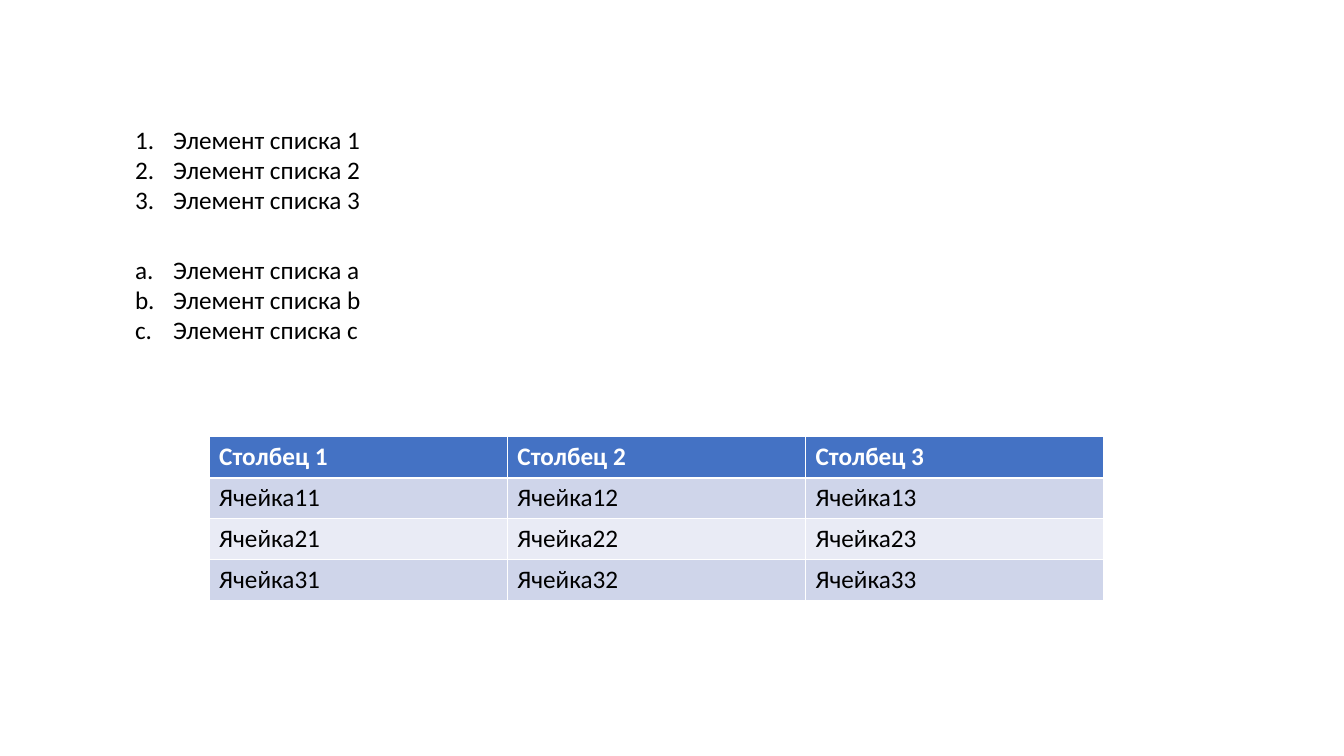
import pptx
import pptx.dml.color
import pptx.enum.text
import pptx.oxml
import pptx.oxml.ns
import pptx.util
from lxml import etree

PX = 914400 / 100.7
BLACK = pptx.dml.color.RGBColor(0x00, 0x00, 0x00)
WHITE = pptx.dml.color.RGBColor(0xFF, 0xFF, 0xFF)
HEADER_BLUE = pptx.dml.color.RGBColor(0x44, 0x72, 0xC4)
BAND_DARK = pptx.dml.color.RGBColor(0xCF, 0xD5, 0xEA)
BAND_LIGHT = pptx.dml.color.RGBColor(0xE9, 0xEB, 0xF5)


def px(length):
    return pptx.util.Emu(round(length * PX))


def add_text(paragraph, text, color, bold=False):
    run = paragraph.add_run()
    run.text = text
    run.font.name = "Calibri"
    run.font.size = pptx.util.Pt(18)
    run.font.bold = bold
    run.font.color.rgb = color


presentation = pptx.Presentation()
presentation.slide_width = px(1343)
presentation.slide_height = px(755)
slide = presentation.slides.add_slide(presentation.slide_layouts[6])

for top, numbering, labels in ((119, "arabicPeriod", "123"), (249, "alphaLcPeriod", "abc")):
    text_box = slide.shapes.add_textbox(px(125), px(top), px(1063), px(101))
    text_frame = text_box.text_frame
    text_frame.word_wrap = True
    text_frame.auto_size = pptx.enum.text.MSO_AUTO_SIZE.SHAPE_TO_FIT_TEXT
    for index, label in enumerate(labels):
        paragraph = text_frame.paragraphs[0] if index == 0 else text_frame.add_paragraph()
        add_text(paragraph, f"Элемент списка {label}", BLACK)
        properties = paragraph._p.get_or_add_pPr()
        properties.set("marL", str(px(38)))
        properties.set("indent", str(-px(38)))
        bullet = etree.SubElement(properties, pptx.oxml.ns.qn("a:buAutoNum"))
        bullet.set("type", numbering)

rows, columns = 4, 3
table = slide.shapes.add_table(
    rows, columns, px(209), px(436), px(298 * columns), px(41 * rows)
).table
for column in table.columns:
    column.width = px(298)
for row in range(rows):
    table.rows[row].height = px(41)
    for column in range(columns):
        cell = table.cell(row, column)
        is_header = row == 0
        text = f"Столбец {column + 1}" if is_header else f"Ячейка{row}{column + 1}"
        paragraph = cell.text_frame.paragraphs[0]
        add_text(paragraph, text, WHITE if is_header else BLACK, is_header)

        cell_properties = cell._tc.get_or_add_tcPr()
        for side in "LRTB":
            is_header_edge = (row, side) in ((0, "B"), (1, "T"))
            width = pptx.util.Pt(1.47 if is_header_edge else 0.45)
            cell_properties.append(pptx.oxml.parse_xml(
                f'<a:ln{side} {pptx.oxml.ns.nsdecls("a")} w="{width}">'
                f'<a:solidFill><a:srgbClr val="{WHITE}"/></a:solidFill></a:ln{side}>'
            ))
        cell.fill.solid()
        cell.fill.fore_color.rgb = HEADER_BLUE if is_header else BAND_DARK if row % 2 else BAND_LIGHT

presentation.save("out.pptx")
